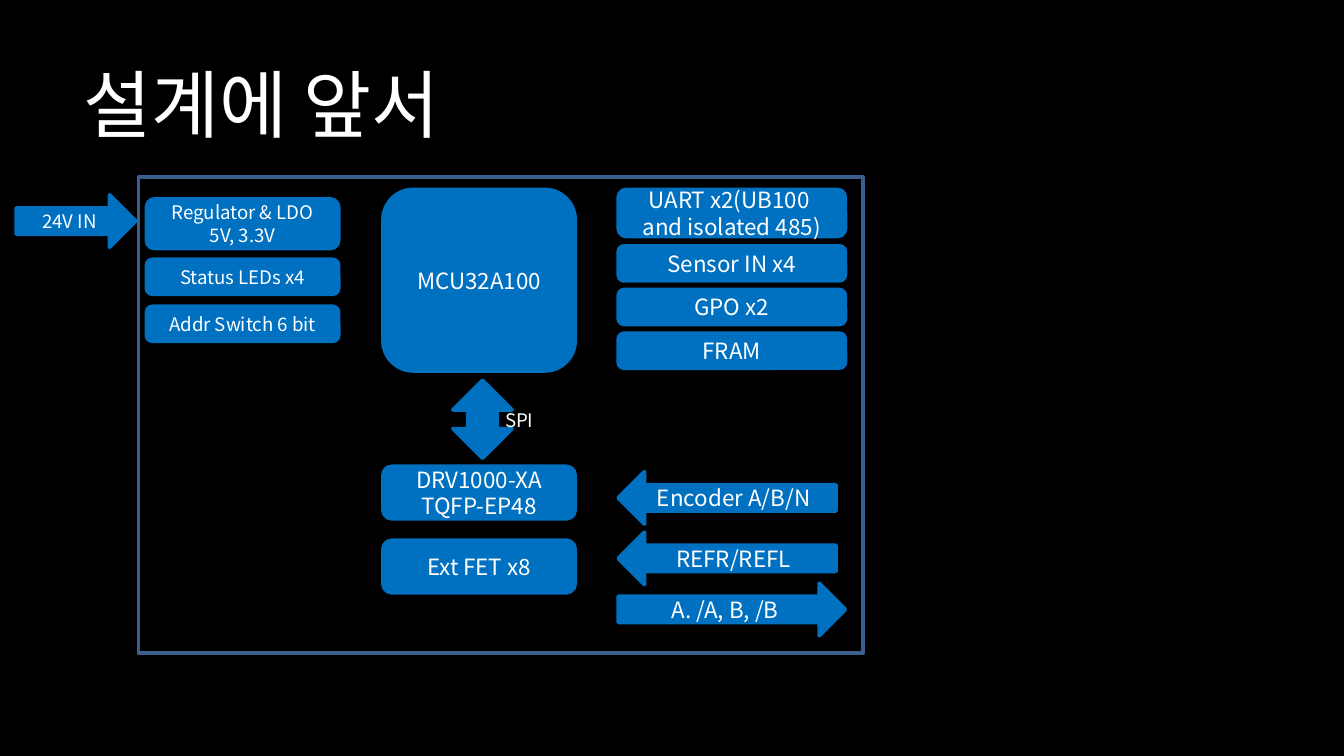
from dataclasses import dataclass
from lxml.etree import SubElement
from pptx import Presentation
from pptx.dml.color import RGBColor
from pptx.enum.shapes import MSO_SHAPE
from pptx.enum.text import MSO_ANCHOR, PP_ALIGN
from pptx.oxml.ns import qn
from pptx.util import Inches, Pt


@dataclass(frozen=True)
class Theme:
    font: str = "Noto Sans CJK KR"
    back: RGBColor = RGBColor(0, 0, 0)
    text: RGBColor = RGBColor(255, 255, 255)
    block: RGBColor = RGBColor(0x00, 0x70, 0xC0)
    frame: RGBColor = RGBColor(0x3A, 0x5F, 0x8C)
    title: float = 39.6
    label: float = 12
    small: float = 10
    line: float = 2


THEME = Theme()
BOX = MSO_SHAPE.ROUNDED_RECTANGLE
LEFT = MSO_SHAPE.LEFT_ARROW
RIGHT = MSO_SHAPE.RIGHT_ARROW


def set_text(shape, text, size, align=PP_ALIGN.CENTER, anchor=MSO_ANCHOR.MIDDLE):
    frame = shape.text_frame
    frame.text = text
    frame.word_wrap = True
    frame.vertical_anchor = anchor
    for para in frame.paragraphs:
        para.alignment = align
        for run in para.runs:
            run.font.size = Pt(size)
            run.font.name = THEME.font
            run.font.color.rgb = THEME.text
            east = SubElement(run.font._element, qn("a:ea"))
            east.set("typeface", THEME.font)


def add_title(slide, text):
    title = slide.shapes.title
    title.left, title.top = Inches(0.52), Inches(0.37)
    title.width, title.height = Inches(8.5), Inches(0.79)
    set_text(title, text, THEME.title, PP_ALIGN.LEFT)


def add_form(group, kind, area, color):
    form = group.shapes.add_shape(kind, *map(Inches, area))
    form.shadow.inherit = False
    form.line.color.rgb = color
    form.line.width = Pt(THEME.line)
    return form


def add_block(group, kind, area, text="", size=THEME.label):
    block = add_form(group, kind, area, THEME.block)
    block.fill.solid()
    block.fill.fore_color.rgb = THEME.block
    if text:
        set_text(block, text, size)


def add_stack(group, kind, area, last, labels, size=THEME.label):
    left, top, width, height = area
    step = (last - top) / (len(labels) - 1)
    for row, text in enumerate(labels):
        add_block(group, kind, (left, top + row * step, width, height), text, size)


def add_label(group, area, text):
    label = group.shapes.add_textbox(*map(Inches, area))
    set_text(label, text, THEME.small, PP_ALIGN.LEFT, MSO_ANCHOR.TOP)


def add_frame(group, area):
    add_form(group, MSO_SHAPE.RECTANGLE, area, THEME.frame).fill.background()


def add_board(slide):
    board = slide.shapes.add_group_shape()
    power, core, port = 1.09, 2.85, 4.6
    wide, broad = 1.43, 1.69

    add_block(board, RIGHT, (0.12, 1.45, 0.89, 0.39), "24V IN", THEME.small)
    add_block(board, BOX, (power, 1.48, wide, 0.37),
              "Regulator & LDO\n5V, 3.3V", THEME.small)
    add_stack(board, BOX, (power, 1.93, wide, 0.26), 2.28,
              ["Status LEDs x4", "Addr Switch 6 bit"], THEME.small)

    add_block(board, BOX, (core, 1.41, wide, 1.35), "MCU32A100")
    add_stack(board, BOX, (core, 3.47, wide, 0.39), 4.02,
              ["DRV1000-XA\nTQFP-EP48", "Ext FET x8"])
    add_block(board, MSO_SHAPE.UP_DOWN_ARROW, (3.37, 2.83, 0.44, 0.58))
    add_label(board, (3.66, 2.99, 1.49, 0.27), "SPI")

    add_block(board, BOX, (port, 1.41, broad, 0.35),
              "UART x2(UB100 \nand isolated 485)")
    add_stack(board, BOX, (port, 1.83, broad, 0.26), 2.48,
              ["Sensor IN x4", "GPO x2", "FRAM"])
    add_stack(board, LEFT, (port, 3.51, 1.62, 0.39), 3.96,
              ["Encoder A/B/N", "REFR/REFL"])
    add_block(board, RIGHT, (port, 4.34, broad, 0.39), "A. /A, B, /B")
    add_frame(board, (1.03, 1.32, 5.39, 3.54))


def main():
    deck = Presentation()
    deck.slide_width = Inches(10)
    deck.slide_height = Inches(10 * 9 / 16)
    slide = deck.slides.add_slide(deck.slide_layouts[0])
    fill = slide.background.fill
    fill.solid()
    fill.fore_color.rgb = THEME.back
    spare = slide.placeholders[1].element
    spare.getparent().remove(spare)
    add_title(slide, "설계에 앞서")
    add_board(slide)
    deck.save("out.pptx")


main()
